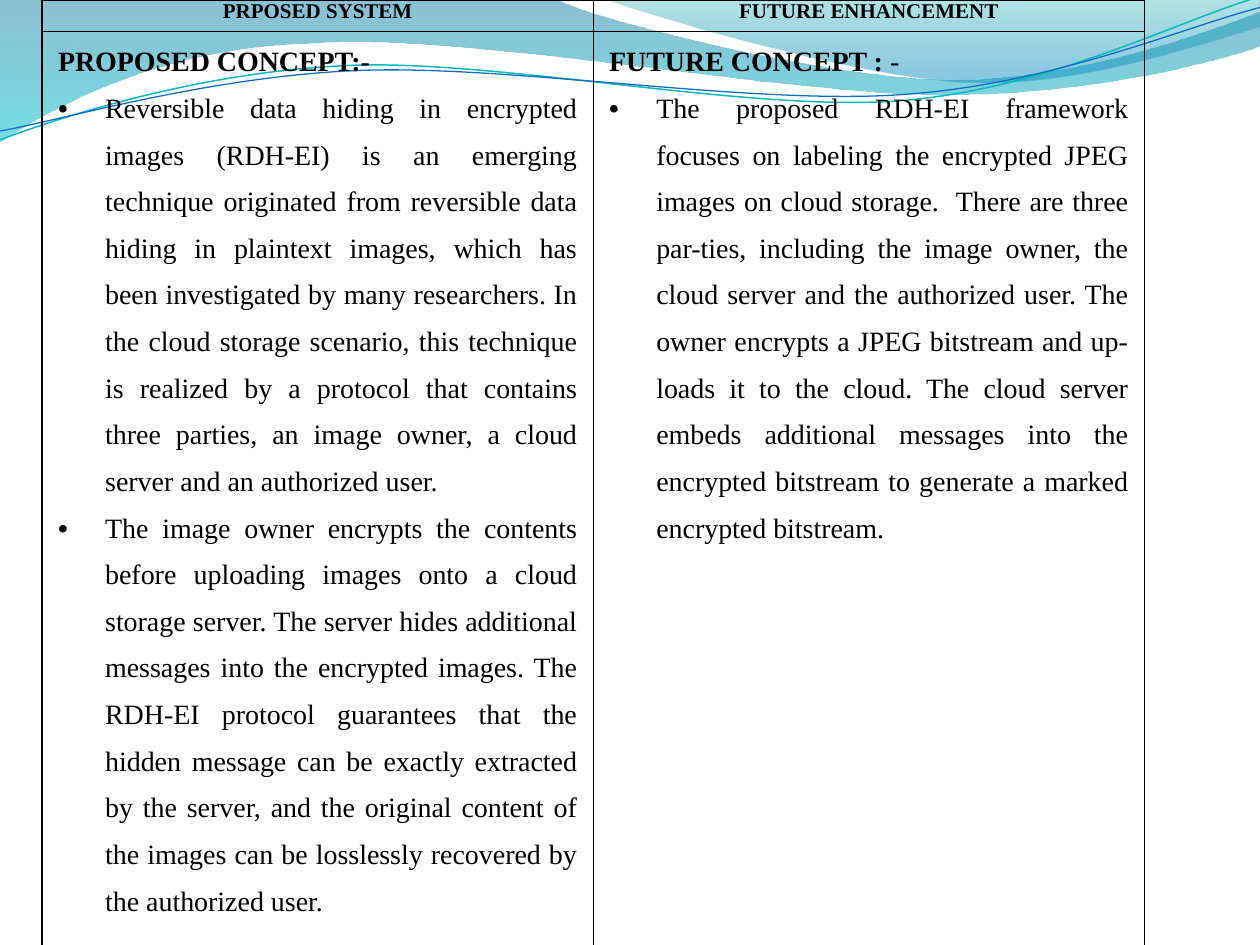
from math import cos, radians, sin

from lxml.etree import SubElement
from pptx import Presentation
from pptx.dml.color import RGBColor
from pptx.enum.text import PP_ALIGN
from pptx.oxml.ns import qn
from pptx.util import Cm, Pt

FONT = "Times New Roman"
COLORS = {"ink": "000000", "blue": "0074A1", "aqua": "00C6CF", "teal": "00A1A9",
          "sky": "008BBF", "thin teal": "0AB8BF", "thin blue": "0F6FC6"}

HEADS = ["PRPOSED SYSTEM", "FUTURE ENHANCEMENT"]
# Each column: bold heading, plain tail of the heading, bullets
BODIES = [
    ("PROPOSED CONCEPT:-", "", [
        "Reversible data hiding in encrypted images (RDH-EI) is an emerging technique "
        "originated from reversible data hiding in plaintext images, which has been "
        "investigated by many researchers. In the cloud storage scenario, this technique "
        "is realized by a protocol that contains three parties, an image owner, a cloud "
        "server and an authorized user. ",
        "The image owner encrypts the contents before uploading images onto a cloud "
        "storage server. The server hides additional messages into the encrypted images. "
        "The RDH-EI protocol guarantees that the hidden message can be exactly extracted "
        "by the server, and the original content of the images can be losslessly "
        "recovered by the authorized user."]),
    ("FUTURE CONCEPT :", " -", [
        "The proposed RDH-EI framework focuses on labeling the encrypted JPEG images on "
        "cloud storage.  There are three par-ties, including the image owner, the cloud "
        "server and the authorized user. The owner encrypts a JPEG bitstream and up-loads "
        "it to the cloud. The cloud server embeds additional messages into the encrypted "
        "bitstream to generate a marked encrypted bitstream."]),
]

# Paths in inches: one point is a straight step, three points are a Bézier curve.
# Gradient stops: colour, position, opacity in percent.
BANDS = [
    ([[(0, 0)], [(4.4, -0.01)],
      [(4.76, 0.17), (6.64, 0.63), (7.58, 0.63)],
      [(8.53, 0.63), (9.58, 0.26), (10, 0.09)],
      [(10.01, 0.36)],
      [(9.83, 0.44), (8.7, 0.76), (7.46, 0.75)],
      [(6.22, 0.75), (3.82, 0.28), (2.57, 0.34)],
      [(1.29, 0.36), (0.46, 0.83), (-0.01, 1.13)],
      [(0, 0)]],
     [("blue", 0, 45), ("aqua", 1, 55)]),
    ([[(4.79, -0.01)],
      [(5.09, 0.11), (6.82, 0.62), (7.69, 0.65)],
      [(8.56, 0.69), (9.61, 0.32), (10, 0.21)],
      [(10, 0)], [(4.79, -0.01)]],
     [("teal", 0, 30), ("sky", 0.8, 45)]),
]
# Path, centre of the tilt, colour, width in points
WAVES = [
    ([[(0, 1.11)],
      [(0.48, 0.93), (1.58, 0.57), (2.77, 0.52)],
      [(3.95, 0.47), (5.93, 0.89), (7.13, 0.8)],
      [(8.33, 0.71), (9.38, 0.15), (9.98, -0.02)]],
     (4.99, 0.58), "thin teal", 0.85),
    ([[(0, 1.04)],
      [(0.47, 0.96), (1.64, 0.61), (2.83, 0.56)],
      [(4.03, 0.51), (5.97, 0.84), (7.17, 0.75)],
      [(8.36, 0.67), (9.41, 0.21), (10, 0.06)]],
     (5, 0.59), "thin blue", 0.75),
]
TILT = 2.7
UNITS = 1000  # drawing units to the inch


def color(name):
    return RGBColor.from_string(COLORS[name])


def outline(slide, path, close):
    """Draw every point as a straight step, then join threes into curves."""
    points = [(round(x * UNITS), round(y * UNITS)) for step in path for x, y in step]
    pen = slide.shapes.build_freeform(*points[0], scale=Cm(2.54) / UNITS)
    pen.add_line_segments(points[1:], close=close)
    shape = pen.convert_to_shape()
    shape.shadow.inherit = False
    lines = iter(list(shape._element.iter(qn("a:lnTo"))))
    for step in path[1:]:
        first, *rest = [next(lines) for _ in step]
        if rest:
            first.tag = qn("a:cubicBezTo")
            for line in rest:
                first.append(line[0])
                line.getparent().remove(line)
    return shape


def add_band(slide, path, stops):
    shape = outline(slide, path, True)
    shape.line.fill.background()
    shape.fill.gradient()
    shape.fill.gradient_angle = 270
    for stop, (name, place, _) in zip(shape.fill.gradient_stops, stops):
        stop.color.rgb = color(name)
        stop.position = place
    marks = shape.fill._xPr.iter(qn("a:srgbClr"))
    for mark, (_, _, solid) in zip(marks, stops):
        SubElement(mark, qn("a:alpha"), val=str(solid * 1000))


def turn(point, mid):
    """Turn a point clockwise about mid, to undo the tilt of its shape."""
    dx, dy = point[0] - mid[0], point[1] - mid[1]
    c, s = cos(radians(TILT)), sin(radians(TILT))
    return mid[0] + dx * c - dy * s, mid[1] + dx * s + dy * c


def add_wave(slide, path, mid, name, width):
    level = [[turn(point, mid) for point in step] for step in path]
    shape = outline(slide, level, False)
    shape.rotation = 360 - TILT
    shape.fill.background()
    shape.line.color.rgb = color(name)
    shape.line.width = Pt(width)


def style(par, size, align, bold=False):
    par.alignment = align
    font = par.font
    font.name, font.size, font.bold = FONT, Pt(size), bold
    font.color.rgb = color("ink")


def add_bullet(par):
    props = par._p.get_or_add_pPr()
    props.set("marL", str(Cm(0.95)))
    props.set("indent", str(-Cm(0.95)))
    fonts = props.find(qn("a:defRPr"))
    for tag, key, value in (("buFont", "typeface", "Arial"), ("buChar", "char", "•")):
        fonts.addprevious(SubElement(props, qn("a:" + tag), {key: value}))


def frame(cell, side):
    """Clear the cell's fill, set its margins and rule all four edges."""
    cell.margin_left = cell.margin_right = Cm(side)
    cell.margin_top = cell.margin_bottom = 0
    props = cell._tc.get_or_add_tcPr()
    for edge in ("lnL", "lnR", "lnT", "lnB"):
        line = SubElement(props, qn("a:" + edge), w=str(Pt(1)))
        fill = SubElement(line, qn("a:solidFill"))
        SubElement(fill, qn("a:srgbClr"), val=COLORS["ink"])
    cell.fill.background()


def fill_body(cell, head, tail, bullets):
    text = cell.text_frame
    par = text.paragraphs[0]
    style(par, 16, PP_ALIGN.JUSTIFY)
    par.line_spacing = 1.5
    for words, bold in ((head, True), (tail, False)):
        if words:
            run = par.add_run()
            run.text, run.font.bold = words, bold
    for words in bullets:
        par = text.add_paragraph()
        par.text = words
        style(par, 16, PP_ALIGN.JUSTIFY)
        par.line_spacing = 1.5
        add_bullet(par)


def add_table(slide):
    table = slide.shapes.add_table(2, 2, Cm(0.85), 0, Cm(22.22), Cm(20.62)).table
    table.first_row = table.horz_banding = False
    for row, height in zip(table.rows, (0.63, 19.99)):
        row.height = Cm(height)
    for i, (head, body) in enumerate(zip(HEADS, BODIES)):
        top, main = table.cell(0, i), table.cell(1, i)
        frame(top, 0.08)
        frame(main, 0.32)
        top.text = head
        style(top.text_frame.paragraphs[0], 12, PP_ALIGN.CENTER, True)
        fill_body(main, *body)


def main():
    deck = Presentation()
    deck.slide_width, deck.slide_height = Cm(25.4), Cm(19.05)
    slide = deck.slides.add_slide(deck.slide_layouts[6])
    for band in BANDS:
        add_band(slide, *band)
    for wave in WAVES:
        add_wave(slide, *wave)
    add_table(slide)
    deck.save("out.pptx")


if __name__ == "__main__":
    main()
